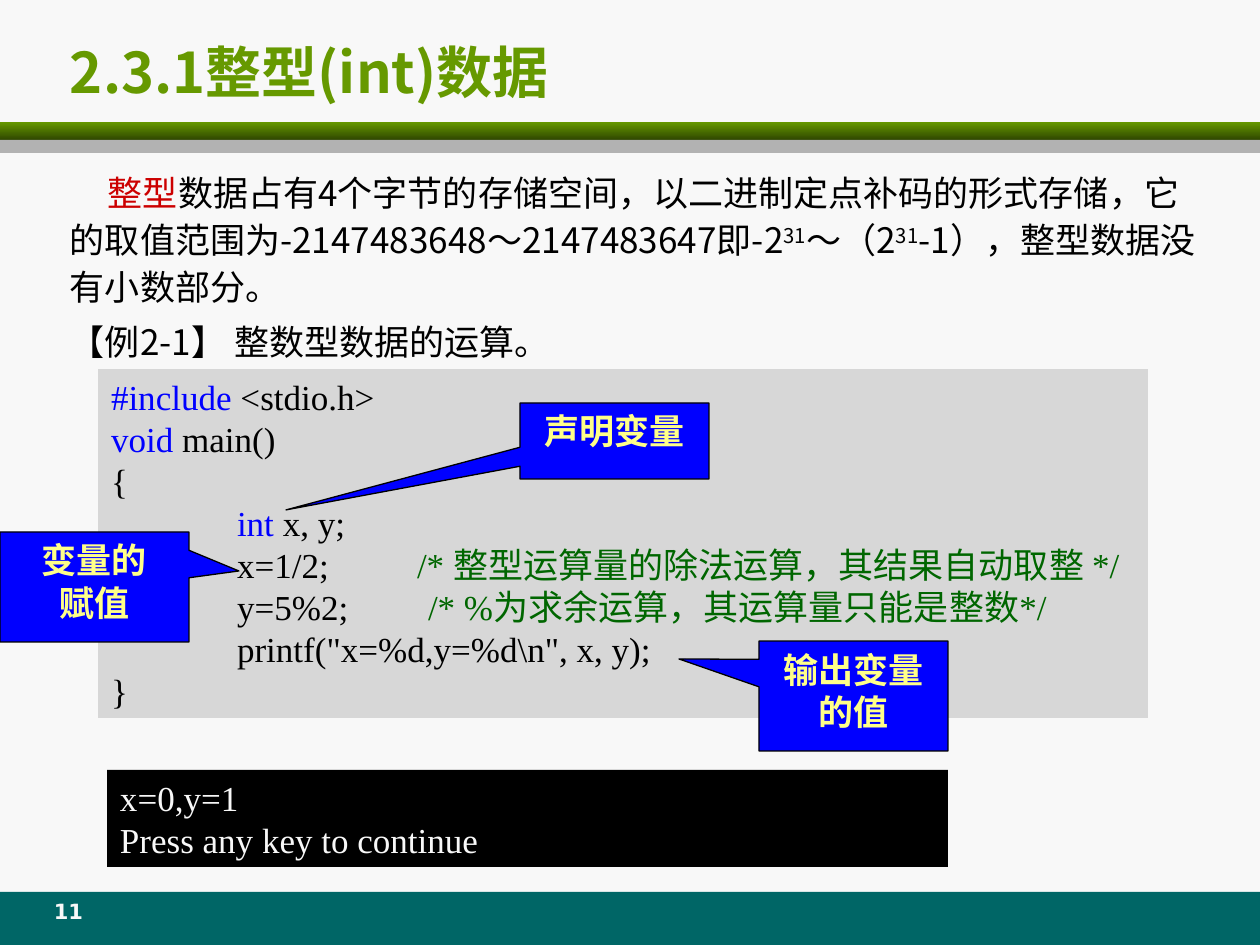
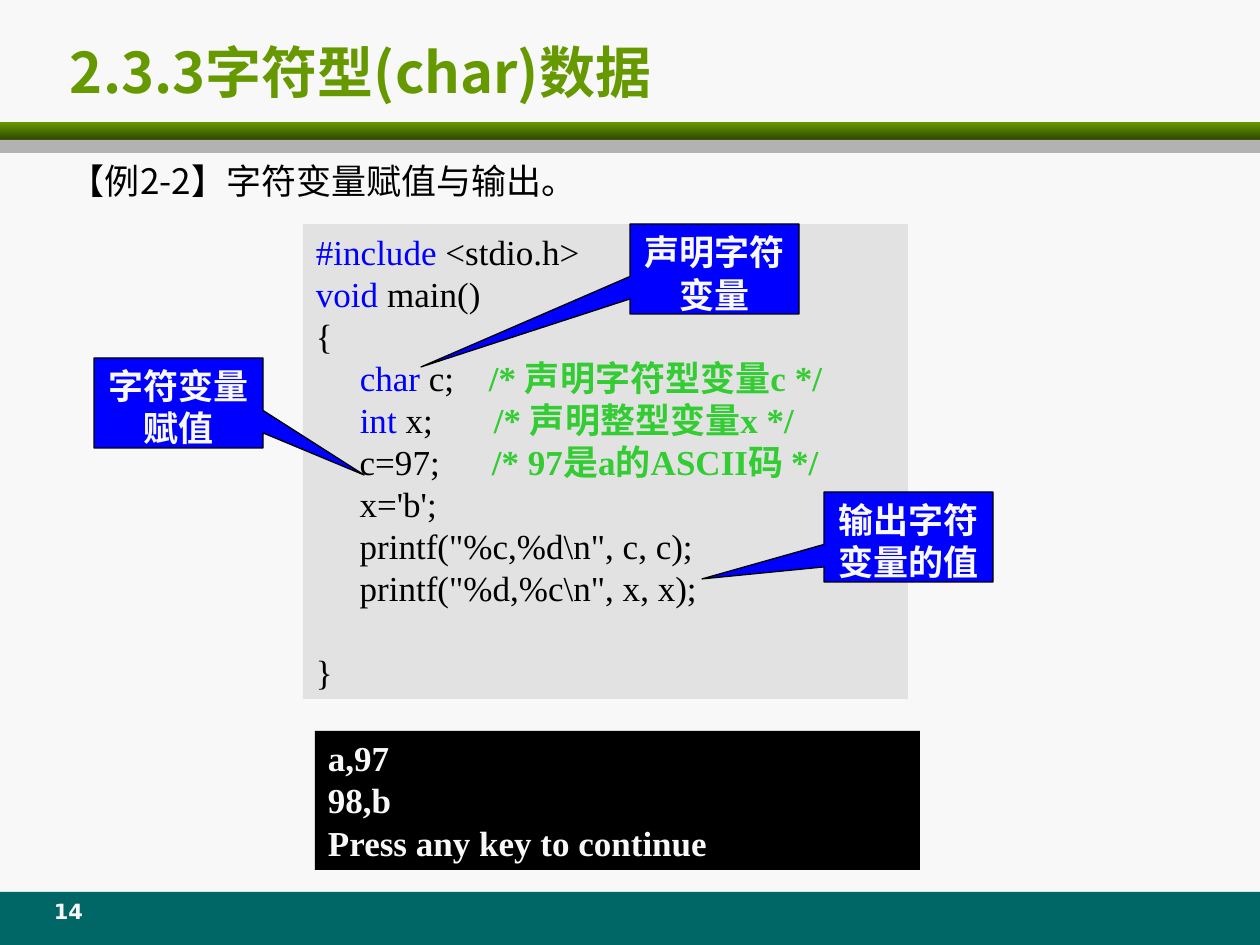
from pptx import Presentation
from pptx.dml.color import RGBColor
from pptx.enum.shapes import MSO_SHAPE
from pptx.enum.text import MSO_ANCHOR, PP_ALIGN
from pptx.oxml.ns import qn
from pptx.util import Pt
from lxml import etree

RECT = MSO_SHAPE.RECTANGLE
CALL = MSO_SHAPE.RECTANGULAR_CALLOUT
LEFT, MID = PP_ALIGN.LEFT, PP_ALIGN.CENTER
TOP, CENTRE = MSO_ANCHOR.TOP, MSO_ANCHOR.MIDDLE

PX = 914400 / 126
WIDE, HIGH = 1260, 945
PAD_X, PAD_Y = 13, 6
STEP = 126
SERIF, SANS, HEAD = "Times New Roman", "Noto Sans CJK SC", "Noto Sans CJK JP"
MONO, FOOT = "Courier New", "DejaVu Sans"

COLORS = {
    "page": "F8F8F8", "teal": "006666", "green": "669900", "moss": "2F4700",
    "gray": "B2B2B2", "black": "000000", "red": "CC0000", "blue": "0000FF",
    "leaf": "006600", "lime": "33CC33", "cream": "FFFF89",
    "code1": "D7D7D7", "code2": "E2E2E2",
}

STYLES = {
    "key": {"color": "blue"},
    "red": {"color": "red"},
    "sup": {"raised": 30},
    "note": {"color": "leaf"},
    "bold": {"color": "lime", "bold": True},
}

SLIDES = [
    {
        "page": "11",
        "title": "2.3.1整型(int)数据",
        "body": {"box": (57, 160, 1158, 210), "paras": [
            [("整型", "red"),
             "数据占有4个字节的存储空间，以二进制定点补码的形式存储，"
             "它的取值范围为-2147483648～2147483647即-2",
             ("31", "sup"), "～（2", ("31", "sup"),
             "-1），整型数据没有小数部分。", {"indent": 38}],
            ["【例2-1】 整数型数据的运算。", {"before": 4}],
        ]},
        "code": {"box": (98, 369, 1050, 349), "fill": "code1", "paras": [
            [("#include", "key"), " <stdio.h>"],
            [("void ", "key"), "main()"],
            ["{"],
            ["\t", ("int ", "key"), "x, y;", {"tabs": (STEP,)}],
            ["\tx=1/2;\t", ("/* 整型运算量的除法运算，其结果自动取整 */", "note"),
             {"tabs": (STEP, 306)}],
            ["\ty=5%2;\t", ("/* %为求余运算，其运算量只能是整数*/", "note"),
             {"tabs": (STEP, 317)}],
            ['\tprintf("x=%d,y=%d\\n", x, y);', {"tabs": (STEP,)}],
            ["}"],
        ]},
        "output": {"box": (107, 770, 841, 97), "bold": False,
                   "paras": [["x=0,y=1"], ["Press any key to continue"]]},
        "ink": "cream",
        "calls": [
            ((520, 403, 189, 76), (286, 510), [["声明变量"]]),
            ((0, 532, 189, 110), (239, 571), [["变量的"], ["赋值"]]),
            ((759, 641, 189, 110), (679, 659), [["输出变量的值"]]),
        ],
    },
    {
        "page": "14",
        "title": "2.3.3字符型(char)数据",
        "body": {"box": (57, 148, 602, 72),
                 "paras": [["【例2-2】字符变量赋值与输出。"]]},
        "code": {"box": (303, 224, 605, 475), "fill": "code2", "paras": [
            [("#include", "key"), " <stdio.h>"],
            [("void", "key"), " main()"],
            ["{"],
            ["     ", ("char", "key"), " c;\t", ("/* 声明字符型变量c */", "bold"),
             {"tabs": (173,)}],
            ["     ", ("int", "key"), " x;\t", ("/* 声明整型变量x */", "bold"),
             {"tabs": (178,)}],
            ["     c=97;\t", ("/* 97是a的ASCII码 */", "bold"), {"tabs": (176,)}],
            ["     x='b';"],
            ['     printf("%c,%d\\n", c, c);'],
            ['     printf("%d,%c\\n", x, x);'],
            ["}", {"before": 24}],
        ]},
        "output": {"box": (315, 731, 605, 139), "bold": True,
                   "paras": [["a,97"], ["98,b"], ["Press any key to continue"]]},
        "ink": "page",
        "calls": [
            ((630, 224, 169, 90), (421, 367), [["声明字符变量"]]),
            ((94, 358, 169, 90), (364, 475), [["字符变量赋值"]]),
            ((824, 492, 169, 90), (702, 579), [["输出字符变量的值"]]),
        ],
    },
]


def emu(px):
    return round(px * PX)


def place(box):
    return [emu(v) for v in box]


def rgb(name):
    return RGBColor.from_string(COLORS[name])


def block(slide, box, fill, kind=RECT, line=None):
    shape = slide.shapes.add_shape(kind, *place(box))
    shape.shadow.inherit = False
    shape.fill.solid()
    shape.fill.fore_color.rgb = rgb(fill)
    if line:
        shape.line.color.rgb = rgb(line)
        shape.line.width = Pt(0.75)
    else:
        shape.line.fill.background()
    return shape


def field(slide, box):
    return slide.shapes.add_textbox(*place(box))


def style(run, font, size, color, bold=False, raised=0):
    run.font.name = font
    run.font.size = Pt(size)
    run.font.bold = bold
    run.font.color.rgb = rgb(color)
    props = run._r.get_or_add_rPr()
    if raised:
        props.set("baseline", str(raised * 1000))
    east = HEAD if font == HEAD else SANS
    etree.SubElement(props, qn("a:ea")).set("typeface", east)


def adjust(para, before=0, indent=0, tabs=()):
    if before:
        para.space_before = Pt(before)
    props = para._p.get_or_add_pPr()
    if indent:
        props.set("indent", str(emu(indent)))
    if tabs:
        stops = etree.SubElement(props, qn("a:tabLst"))
        for pos in tabs:
            etree.SubElement(stops, qn("a:tab"), pos=str(emu(pos)), algn="l")


def text(shape, paras, font=SERIF, size=20, color="black", bold=False,
         align=LEFT, anchor=TOP, pitch=None, top=PAD_Y, right=PAD_X):
    frame = shape.text_frame
    frame.word_wrap = True
    frame.vertical_anchor = anchor
    frame.margin_left, frame.margin_right = emu(PAD_X), emu(right)
    frame.margin_top, frame.margin_bottom = emu(top), emu(PAD_Y)
    for num, parts in enumerate(paras):
        para = frame.add_paragraph() if num else frame.paragraphs[0]
        para.alignment = align
        if pitch:
            para.line_spacing = Pt(pitch)
        for part in parts:
            if isinstance(part, dict):
                adjust(para, **part)
                continue
            words, look = part if isinstance(part, tuple) else (part, None)
            run = para.add_run()
            run.text = words
            base = {"font": font, "size": size, "color": color, "bold": bold}
            style(run, **{**base, **STYLES.get(look, {})})


def frame_page(slide, title, page):
    slide.background.fill.solid()
    slide.background.fill.fore_color.rgb = rgb("page")
    block(slide, (0, 892, WIDE, 53), "teal")
    band = block(slide, (0, 122, WIDE, 18), "green")
    band.fill.gradient()
    band.fill.gradient_angle = 270
    for stop, name, pos in zip(band.fill.gradient_stops, ("green", "moss"), (0, 1)):
        stop.color.rgb = rgb(name)
        stop.position = pos
    block(slide, (0, 140, WIDE, 13), "gray")
    text(field(slide, (32, 892, 73, 42)), [[page]], font=FOOT, size=12,
         color="page", bold=True, align=MID)
    text(field(slide, (57, 29, 1203, 84)), [[title]], font=HEAD, size=32,
         color="green", bold=True, anchor=CENTRE)


def callout(slide, box, tip, paras, ink):
    shape = block(slide, box, "blue", CALL, "black")
    left, top, wide, high = box
    shape.adjustments[0] = (tip[0] - left) / wide - 0.5
    shape.adjustments[1] = (tip[1] - top) / high - 0.5
    text(shape, paras, font=MONO, color=ink, bold=True, align=MID, pitch=24, top=7)


def build(deck, data):
    slide = deck.slides.add_slide(deck.slide_layouts[6])
    frame_page(slide, data["title"], data["page"])
    body, code, out = data["body"], data["code"], data["output"]
    text(field(slide, body["box"]), body["paras"], font=SANS, pitch=27)
    text(block(slide, code["box"], code["fill"]), code["paras"], pitch=24, right=0)
    text(block(slide, out["box"], "black"), out["paras"], color="page",
         bold=out["bold"], pitch=24)
    for box, tip, paras in data["calls"]:
        callout(slide, box, tip, paras, data["ink"])


def main():
    deck = Presentation()
    deck.slide_width, deck.slide_height = emu(WIDE), emu(HIGH)
    for data in SLIDES:
        build(deck, data)
    deck.save("out.pptx")


if __name__ == "__main__":
    main()
